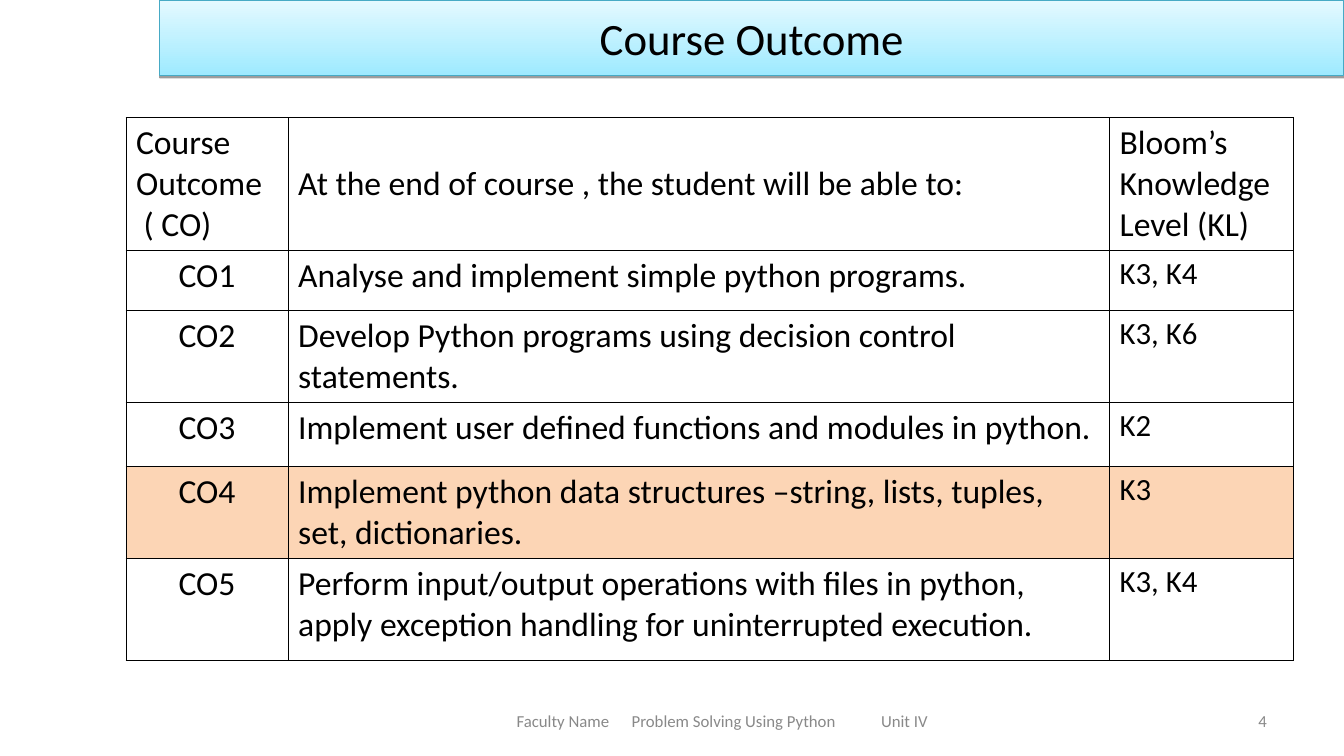
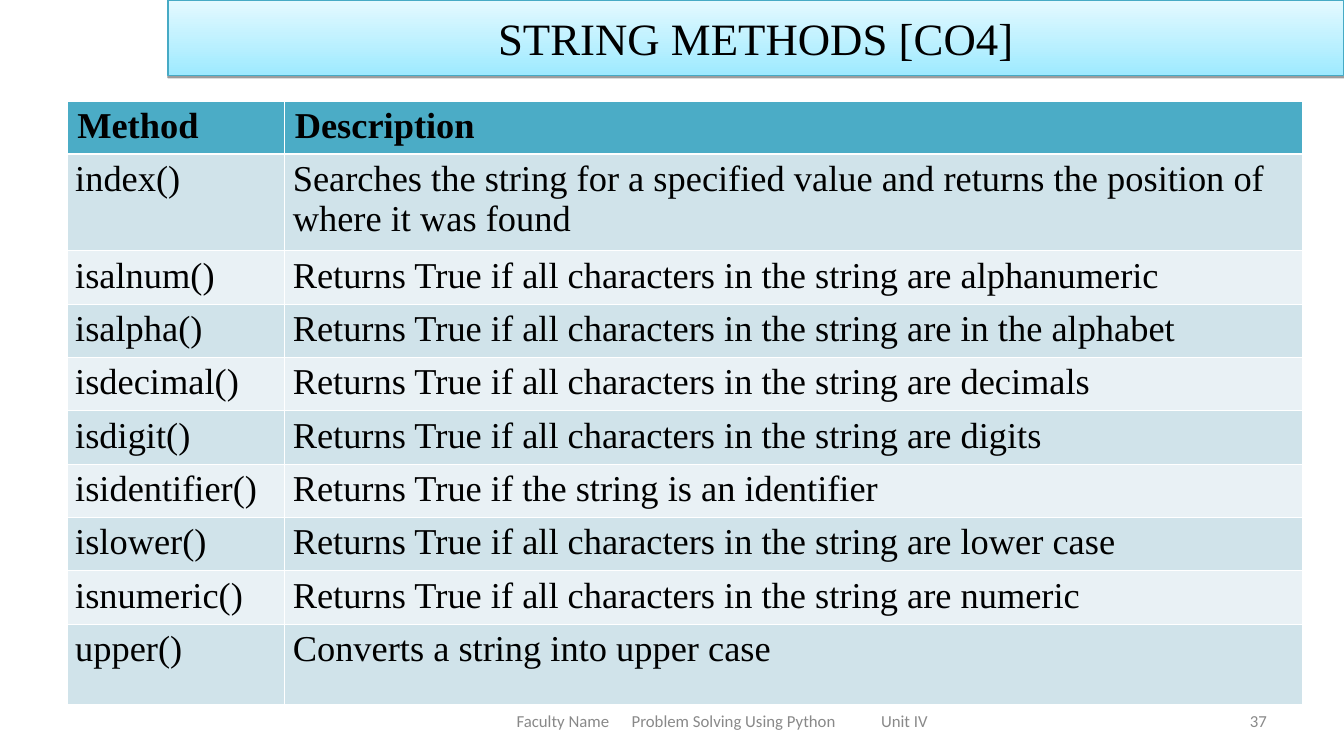
from lxml import etree
from pptx import Presentation
from pptx.dml.color import RGBColor
from pptx.enum.text import MSO_ANCHOR, PP_ALIGN
from pptx.oxml.ns import qn
from pptx.util import Inches, Pt

LEFT, MID, RIGHT = PP_ALIGN.LEFT, PP_ALIGN.CENTER, PP_ALIGN.RIGHT
TOP, CENTRE = MSO_ANCHOR.TOP, MSO_ANCHOR.MIDDLE
SANS, SERIF = "Calibri", "Times New Roman"
COLS, ROWS = 160, 90  # slide grid, twelve cells to the inch
HUES = {
    "ink": "000000", "paper": "FFFFFF", "grey": "898989",
    "deep": "9EEAFF", "pale": "E4F9FF", "edge": "46AAC5",
    "peach": "FCD5B5", "head": "4BACC6", "odd": "D0E3EA", "even": "E9F1F5",
}
FOOT = "Faculty Name\tProblem Solving Using Python\tUnit IV"
STOPS = (13.7, 43.4)

GOALS = [
    ("Course Outcome\n( CO)",
     "At the end of course , the student will be able to:",
     "Bloom’s Knowledge Level (KL)"),
    ("CO1", "Analyse and implement simple python programs.", "K3, K4"),
    ("CO2", "Develop Python programs using decision control statements.",
     "K3, K6"),
    ("CO3", "Implement user defined functions and modules in python.", "K2"),
    ("CO4", "Implement python data structures –string, lists, tuples, set, "
     "dictionaries.", "K3"),
    ("CO5", "Perform input/output operations with files in python, apply "
     "exception handling for uninterrupted execution.", "K3, K4"),
]
TEST = "Returns True if all characters in the string are "
CALLS = [
    ("Method", "Description"),
    ("index()", "Searches the string for a specified value and returns the "
     "position of where it was found"),
    ("isalnum()", TEST + "alphanumeric"),
    ("isalpha()", TEST + "in the alphabet"),
    ("isdecimal()", TEST + "decimals"),
    ("isdigit()", TEST + "digits"),
    ("isidentifier()", "Returns True if the string is an identifier"),
    ("islower()", TEST + "lower case"),
    ("isnumeric()", TEST + "numeric"),
    ("upper()", "Converts a string into upper case"),
]


def grid(cells):
    return Inches(cells / 12)


def hue(name):
    return RGBColor.from_string(HUES[name])


def style(frame, size, font=SANS, tint="ink", align=LEFT, bold=False):
    for para in frame.paragraphs:
        para.alignment = align
        for run in para.runs:
            run.font.size, run.font.name = Pt(size), font
            run.font.bold = bold
            run.font.color.rgb = hue(tint)


def band(slide, text, box, font):
    """Title placeholder drawn as a gradient band with a shadow."""
    title = slide.shapes.title
    title.left, title.top, title.width, title.height = map(grid, box)
    title.text_frame.text = text
    title.text_frame.vertical_anchor = CENTRE
    style(title.text_frame, 32, font, align=MID)
    title.fill.gradient()
    title.fill.gradient_angle = 90
    for stop, name in zip(title.fill.gradient_stops, ("deep", "pale")):
        stop.color.rgb = hue(name)
    title.line.color.rgb = hue("edge")
    title.line.width = Pt(0.75)
    fx = etree.SubElement(title.element.spPr, qn("a:effectLst"))
    cast = etree.SubElement(fx, qn("a:outerShdw"), blurRad="0",
                            dist=str(Pt(1.6)), dir="5400000", rotWithShape="0")
    tone = etree.SubElement(cast, qn("a:srgbClr"), val=HUES["ink"])
    etree.SubElement(tone, qn("a:alpha"), val="38000")


def label(slide, text, box, align):
    frame = slide.shapes.add_textbox(*map(grid, box)).text_frame
    frame.word_wrap = True
    frame.vertical_anchor = CENTRE
    frame.text = text
    style(frame, 12, tint="grey", align=align)
    return frame


def footer(slide, number):
    """Course line with tab stops, and the slide number."""
    frame = label(slide, FOOT, (53, 83.4, 66, 4.8), LEFT)
    frame.margin_left = grid(8.5)
    tabs = etree.SubElement(frame.paragraphs[0]._p.get_or_add_pPr(),
                            qn("a:tabLst"))
    for stop in STOPS:
        etree.SubElement(tabs, qn("a:tab"), pos=str(grid(stop)), algn="l")
    label(slide, str(number), (114.7, 83.4, 37.3, 4.8), RIGHT)


def paint(cell, name):
    if name:
        cell.fill.solid()
        cell.fill.fore_color.rgb = hue(name)
    else:
        cell.fill.background()


def border(cell, name, top=0.45, base=0.45):
    props = cell._tc.get_or_add_tcPr()
    sides = (("lnL", 0.45), ("lnR", 0.45), ("lnT", top), ("lnB", base))
    for spot, (side, width) in enumerate(sides):
        line = etree.Element(qn("a:" + side), w=str(Pt(width)))
        fill = etree.SubElement(line, qn("a:solidFill"))
        etree.SubElement(fill, qn("a:srgbClr"), val=HUES[name])
        props.insert(spot, line)


def table(slide, data, spot, wide, tall, dress):
    """Table at a grid spot; dress formats each cell by row and column."""
    sheet = slide.shapes.add_table(
        len(data), len(wide), *map(grid, (*spot, sum(wide), sum(tall)))).table
    sheet.first_row = sheet.horz_banding = False
    for col, size in zip(sheet.columns, wide):
        col.width = grid(size)
    for row, size in zip(sheet.rows, tall):
        row.height = grid(size)
    for r, texts in enumerate(data):
        for c, text in enumerate(texts):
            cell = sheet.cell(r, c)
            cell.text_frame.text = text
            dress(cell, r, c)


def goal(cell, r, c):
    style(cell.text_frame, 22 if r and c == 2 else 24,
          align=MID if r and c == 0 else LEFT)
    cell.vertical_anchor = CENTRE if (r, c) == (0, 1) else TOP
    for para in cell.text_frame.paragraphs[1:]:
        para._p.get_or_add_pPr().set("marL", str(grid(0.9)))
    paint(cell, "peach" if r == 4 else None)
    border(cell, "ink")


def call(cell, r, c):
    style(cell.text_frame, 26, SERIF, bold=r == 0)
    if r:
        cell.margin_left = cell.margin_right = Inches(0.08)
    paint(cell, "head" if r == 0 else "odd" if r % 2 else "even")
    border(cell, "paper", top=1.47 if r == 1 else 0.45,
           base=1.47 if r == 0 else 0.45)


def page(deck, title, left, font, number, *parts):
    slide = deck.slides.add_slide(deck.slide_layouts[5])
    band(slide, title, (left, 0, COLS - left, ROWS / 10), font)
    table(slide, *parts)
    footer(slide, number)


def main():
    deck = Presentation()
    deck.slide_width, deck.slide_height = grid(COLS), grid(ROWS)

    # Course outcomes
    page(deck, "Course Outcome", 19, SANS, 4,
         GOALS, (15, 14), (19.3, 97.8, 21.9),
         (15.8, 7.1, 11, 7.55, 11, 12.1), goal)

    # String methods
    page(deck, "STRING METHODS [CO4]", 20, SERIF, 37,
         CALLS, (8, 12), (25.9, 121.1),
         (6.3, 11.55, *[6.35] * 7, 9.6), call)

    deck.save("out.pptx")


if __name__ == "__main__":
    main()
